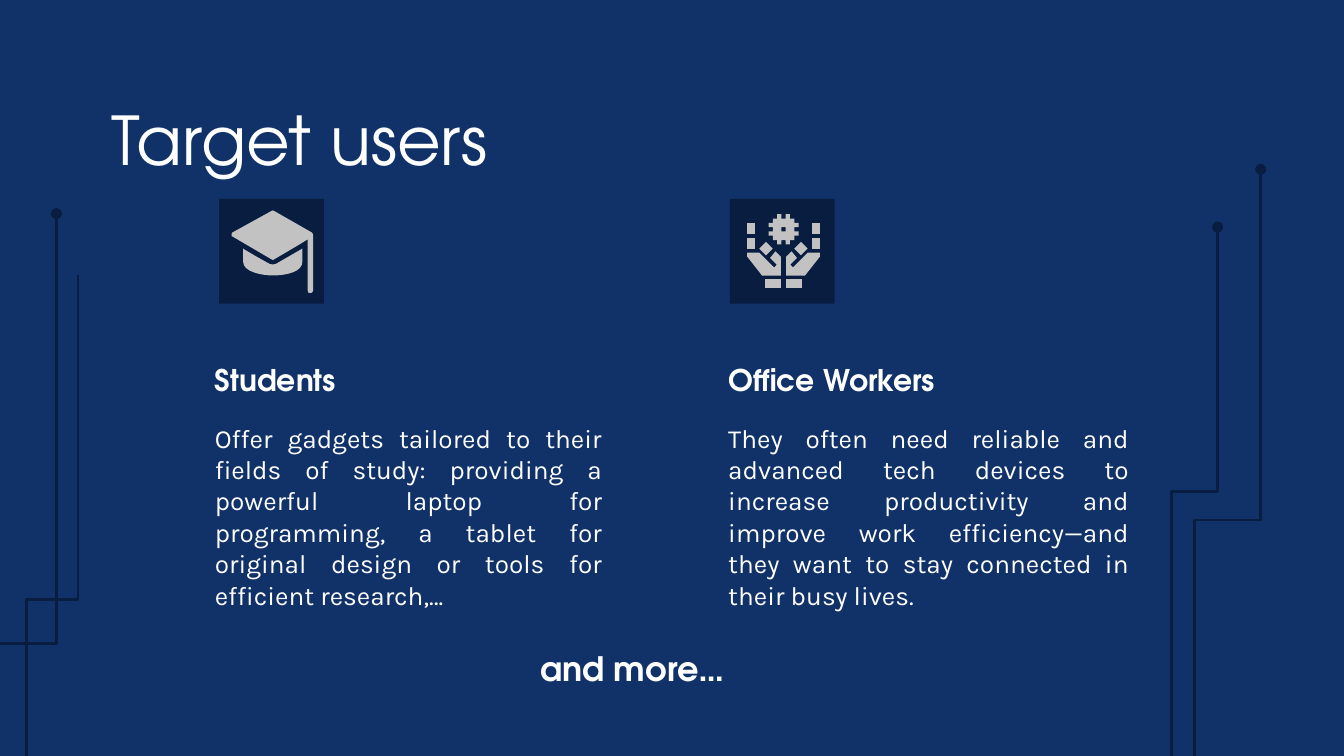
from lxml.etree import SubElement as Sub
from pptx import Presentation
from pptx.dml.color import RGBColor as Rgb
from pptx.enum.shapes import MSO_CONNECTOR as Link, MSO_SHAPE as Shape
from pptx.enum.text import MSO_ANCHOR as Anchor, MSO_AUTO_SIZE as Fit, PP_ALIGN as Align
from pptx.oxml.ns import qn
from pptx.util import Inches, Pt

HEX = {"back": "103269", "dark": "081D3F", "icon": "C2C2C3", "text": "FFFFFF"}
HEAD, BODY = "TeX Gyre Adventor", "Karla"
WIDE, HIGH = Inches(10), Inches(5.625)
UNIT = WIDE / 100  # the slide is a square grid of 100 columns
SIDE = 7.8  # icon tile, in grid units


def grid(*vals):
    return [round(v * UNIT) for v in vals]


def color(name):
    return Rgb.from_string(HEX[name])


def paint(shape, name):
    shape.shadow.inherit = False
    shape.fill.solid()
    shape.fill.fore_color.rgb = color(name)
    shape.line.fill.background()


def write(shape, text, size, font=HEAD, bold=False, align=Align.LEFT,
          anchor=Anchor.TOP, space=None):
    frame = shape.text_frame
    frame.word_wrap = True
    frame.auto_size = Fit.NONE
    frame.vertical_anchor = anchor
    frame.margin_left = frame.margin_right = Inches(0.1)
    frame.margin_top = frame.margin_bottom = Inches(0.1)
    para = frame.paragraphs[0]
    para.alignment = align
    para.line_spacing = space
    run = para.add_run()
    run.text = text
    run.font.name = font
    run.font.size = Pt(size)
    run.font.bold = bold
    run.font.color.rgb = color("text")


def flat(path):
    """Turn a path of points and cubic curves (six numbers) into points."""
    pts = [path[0]]
    for part in path[1:]:
        if len(part) == 2:
            pts.append(part)
            continue
        knots = [pts[-1], part[:2], part[2:4], part[4:]]
        for step in range(1, 9):
            t = step / 8
            mix = ((1 - t) ** 3, 3 * t * (1 - t) ** 2, 3 * t * t * (1 - t), t ** 3)
            pts.append(tuple(sum(m * k[i] for m, k in zip(mix, knots)) for i in (0, 1)))
    return pts


def outline(group, left, top, *paths):
    """Draw closed paths, in tenths of a grid unit from the tile's corner."""
    build = None
    for path in paths:
        pts = [grid(left + x / 10, top + y / 10) for x, y in flat(path)]
        if build is None:
            build = group.shapes.build_freeform(*pts[0], scale=1.0)
        else:
            build.move_to(*pts[0])
        build.add_line_segments(pts[1:], close=True)
    paint(build.convert_to_shape(), "icon")


def block(x1, y1, x2, y2):
    return [(x1, y1), (x1, y2), (x2, y2), (x2, y1)]


def cap(group, left, top):
    base = [(18, 37), (18, 47), (18, 54, 31, 57, 40, 57), (51, 57, 62, 54, 62, 47),
            (62, 37), (43, 48), (42, 49, 38, 49, 37, 48), (35, 47, 19, 38, 18, 37)]
    board = [(39, 9), (10, 25), (9, 26, 9, 28, 10, 28), (39, 45), (40, 45.5, 40, 45.5, 41, 45),
             (65, 31, 66, 30, 66, 30), (66, 68), (66, 70, 67, 70, 68, 70),
             (69, 70, 70, 69, 70, 68), (70, 27), (70, 26, 69, 25, 69, 25),
             (41, 9), (40, 8.5, 40, 8.5, 39, 9)]
    outline(group, left, top, base)
    outline(group, left, top, board)


def hands(group, left, top):
    turn = [(3, 1), (3, 0), (2, 0), (2, 1), (1, 1), (1, 2), (0, 2), (0, 3), (1, 3)]
    gear = []
    for _ in range(4):
        gear += turn
        turn = [(y, 7 - x) for x, y in turn]
    outline(group, left, top, *[[(28.8 + 3.2 * x, 11.4 + 3.2 * y) for x, y in path]
                                for path in (gear, block(3, 3, 4, 4))])
    half = [
        block(13, 18, 19, 26),
        block(13, 29, 19, 37),
        block(26, 60, 38, 66),
        [(27, 32), (22, 37), (27, 42), (32, 37)],
        [(34, 39), (30, 44), (35, 49), (33, 51), (22, 40), (13, 40),
         (13, 43), (24, 57), (38, 57), (38, 43)],
    ]
    for path in half:
        outline(group, left, top, path)
        outline(group, left, top, [(80 - x, y) for x, y in path])


def column(slide, left, wide, tile, icon, name, text):
    top = 14.8
    paint(slide.shapes.add_shape(Shape.RECTANGLE, *grid(tile, top, SIDE, SIDE)), "dark")
    icon(slide.shapes.add_group_shape(), tile, top)
    write(slide.shapes.add_textbox(*grid(left, 26.1, 28, 4.5)), name, 16,
          bold=True, anchor=Anchor.BOTTOM)
    write(slide.shapes.add_textbox(*grid(left, 30.4, wide, 13.2)), text, 14,
          BODY, align=Align.JUSTIFY)


def trace(slide, x1, y1, x2, y2, bend):
    """Draw a circuit line that runs upright and steps sideways at bend."""
    mid_x, mid_y = (x1 + x2) / 2, (y1 + y2) / 2
    run, rise = (x2 - x1) / 2, (y2 - y1) / 2
    # Ends before the quarter turn about the middle
    line = slide.shapes.add_connector(Link.ELBOW, *grid(
        mid_x - rise, mid_y + run, mid_x + rise, mid_y - run))
    line.line.color.rgb = color("dark")
    line.line.width = Pt(1.5)
    props = line._element.spPr
    props.find(qn("a:xfrm")).set("rot", "5400000")
    share = round((bend - y1) / (y2 - y1) * 100000)
    Sub(props.find(qn("a:prstGeom")).find(qn("a:avLst")), qn("a:gd"),
        name="adj1", fmla=f"val {share}")
    Sub(props.find(qn("a:ln")), qn("a:tailEnd"), type="oval")
    Sub(props, qn("a:effectLst"))


def main():
    deck = Presentation()
    deck.slide_width, deck.slide_height = WIDE, HIGH
    slide = deck.slides.add_slide(deck.slide_layouts[5])
    slide.background.fill.solid()
    slide.background.fill.fore_color.rgb = color("back")

    title = slide.shapes.title
    title.left, title.top, title.width, title.height = grid(7.3, 6.3, 84.3, 6.3)
    write(title, "Target users", 36)

    column(slide, 15, 30.8, 16.3, cap, "Students",
           "Offer gadgets tailored to their fields of study: providing a powerful laptop "
           "for programming, a tablet for original design or tools for efficient research,…")
    column(slide, 53.2, 31.8, 54.3, hands, "Office Workers",
           "They often need reliable and advanced tech devices to increase productivity and "
           "improve work efficiency—and they want to stay connected in their busy lives.")
    write(slide.shapes.add_textbox(*grid(39.2, 47.7, 28, 4.5)), "and more…", 18,
          bold=True, anchor=Anchor.BOTTOM, space=1.15)

    for ends in ((-1.1, 74.7, 4.2, 15.9, 47.9), (88.9, 64.8, 93.8, 12.6, 38.7),
                 (87.2, 56.3, 90.6, 16.9, 36.6), (5.8, 20.5, 2, 81.1, 44.6)):
        trace(slide, *ends)

    deck.save("out.pptx")


if __name__ == "__main__":
    main()
